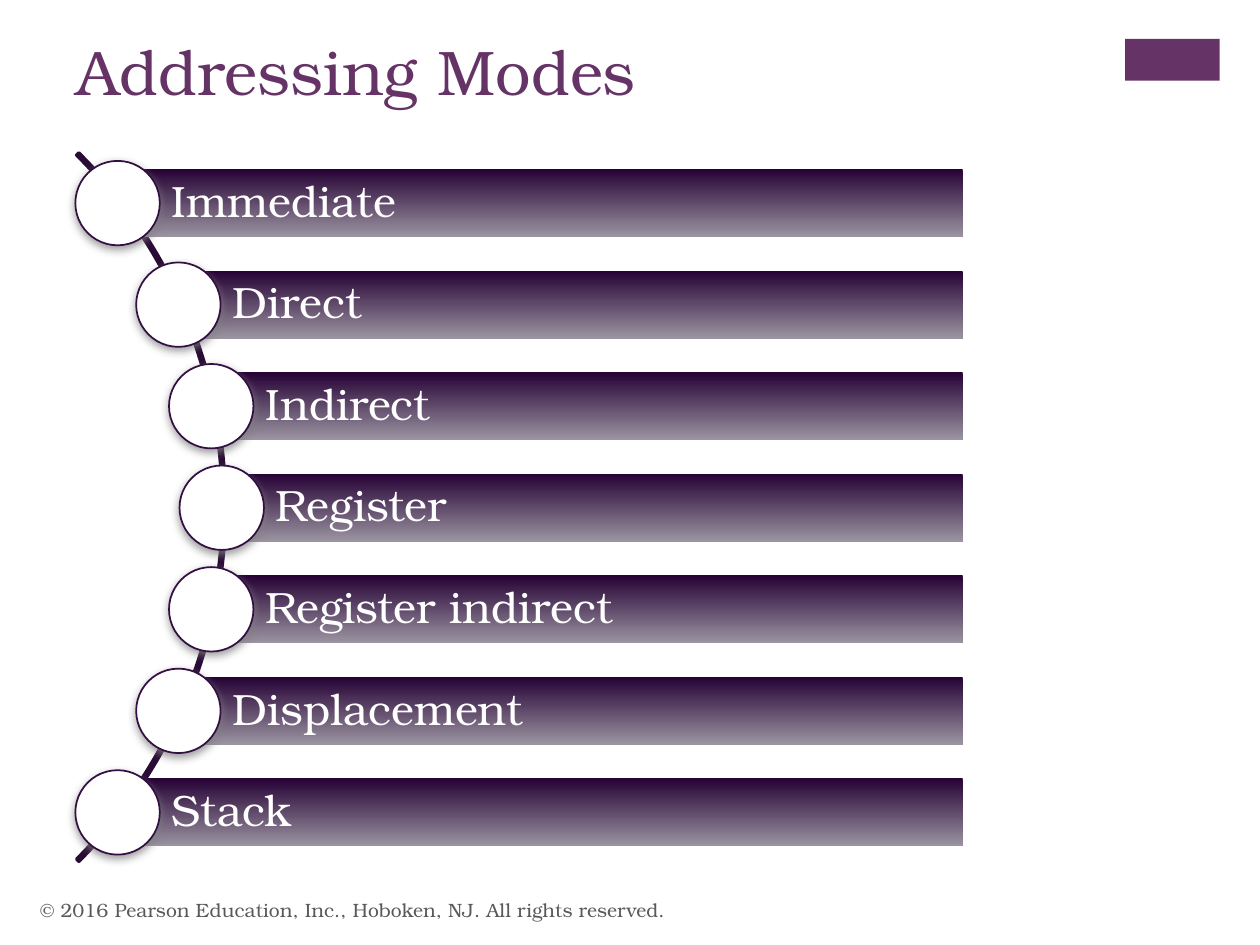
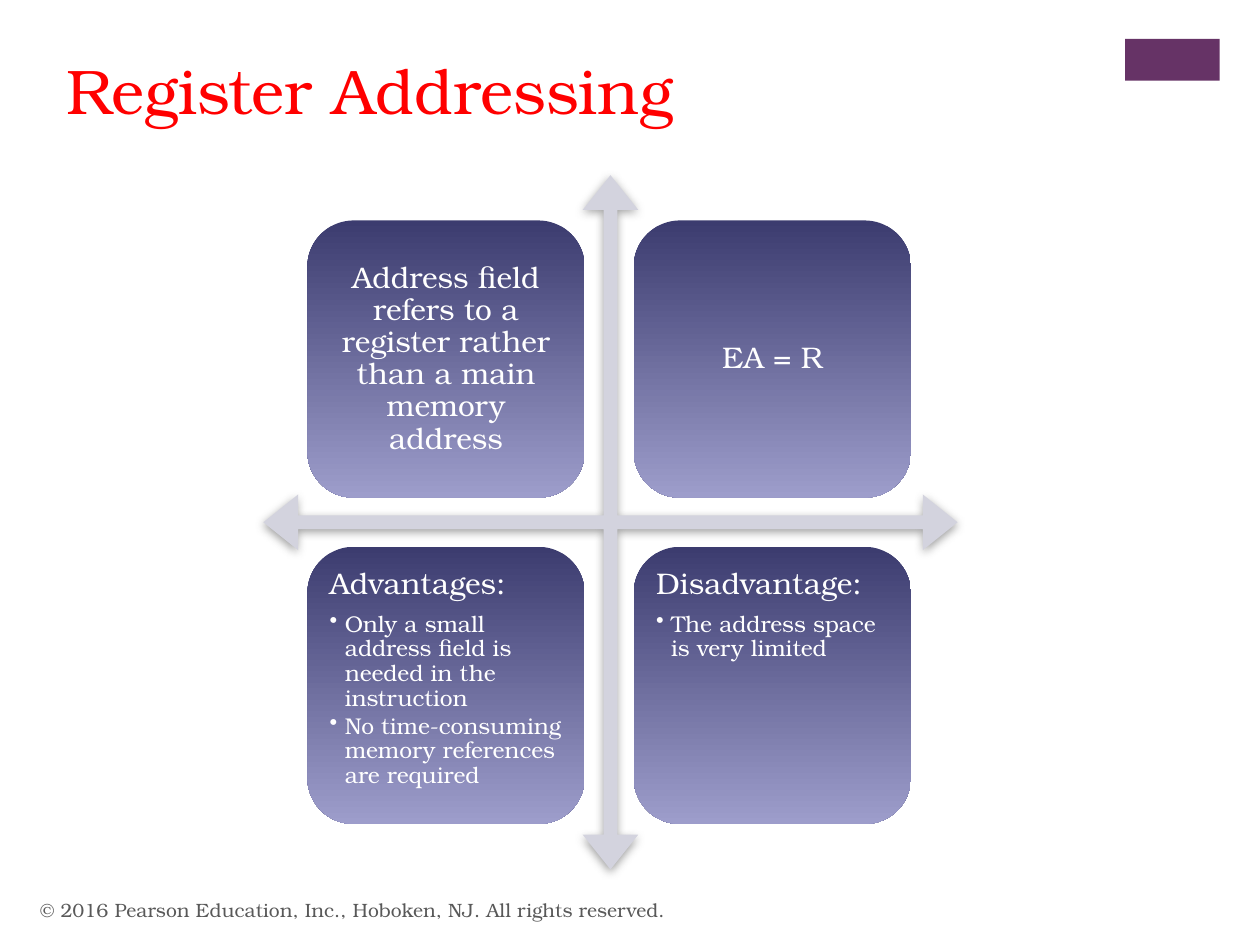
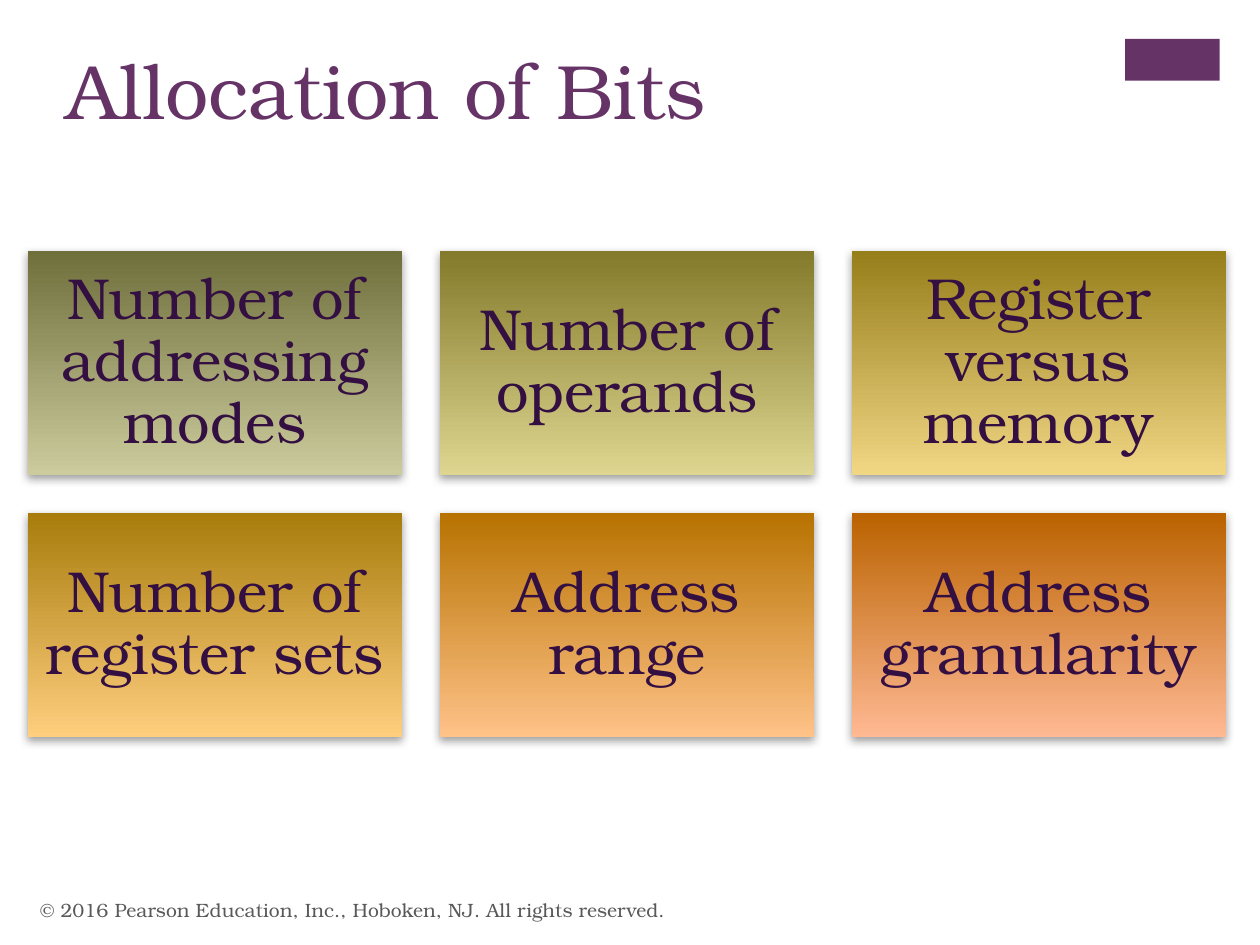
from dataclasses import dataclass
from math import sqrt

from lxml.etree import SubElement
from pptx import Presentation
from pptx.dml.color import RGBColor
from pptx.enum.shapes import MSO_SHAPE
from pptx.enum.text import MSO_ANCHOR, MSO_AUTO_SIZE, PP_ALIGN
from pptx.oxml.ns import qn
from pptx.util import Inches, Pt

FONT = "TeX Gyre Bonum"
PLUM, DARK, WHITE, GREY, RED = "663366", "330F42", "FFFFFF", "595959", "FF0000"
NOTICE = "© 2016 Pearson Education, Inc., Hoboken, NJ. All rights reserved."


@dataclass
class Box:
    left: float
    top: float
    width: float
    height: float

    def place(self) -> tuple:
        return tuple(Inches(v) for v in (self.left, self.top, self.width, self.height))


@dataclass
class Style:
    size: float
    color: str
    align: PP_ALIGN = PP_ALIGN.LEFT
    inset: float = 0.07
    space: float = 0.9


@dataclass
class Card:
    text: str
    fill: tuple
    points: tuple = ()


# Shared helpers
def rgb(value: str) -> RGBColor:
    return RGBColor.from_string(value)


def paint(shape, fill) -> None:
    """Fill with one colour, or with a pair running from top to bottom."""
    if isinstance(fill, str):
        shape.fill.solid()
        shape.fill.fore_color.rgb = rgb(fill)
        return
    shape.fill.gradient()
    shape.fill.gradient_angle = 270
    for stop, color in zip(shape.fill.gradient_stops, fill):
        stop.color.rgb = rgb(color)


def shade(shape) -> None:
    effects = shape._element.spPr.find(qn("a:effectLst"))
    outer = SubElement(effects, qn("a:outerShdw"), blurRad=str(Pt(5)), dist=str(Pt(2)),
                       dir="5400000", algn="ctr", rotWithShape="0")
    color = SubElement(outer, qn("a:srgbClr"), val="808080")
    SubElement(color, qn("a:alpha"), val="75000")


def draw(slide, kind, box: Box, fill=None, line=None, width=1, shadow=False, adjust=()):
    shape = slide.shapes.add_shape(kind, *box.place())
    shape.shadow.inherit = False
    for i, value in enumerate(adjust):
        shape.adjustments[i] = value
    if fill:
        paint(shape, fill)
    else:
        shape.fill.background()
    if line:
        shape.line.color.rgb = rgb(line)
        shape.line.width = Pt(width)
    else:
        shape.line.fill.background()
    if shadow:
        shade(shape)
    return shape


def style(para, look: Style) -> None:
    para.alignment = look.align
    para.line_spacing = look.space
    para.font.name = FONT
    para.font.size = Pt(look.size)
    para.font.color.rgb = rgb(look.color)


def write(shape, text: str, look: Style, anchor=MSO_ANCHOR.MIDDLE):
    frame = shape.text_frame
    frame.word_wrap = True
    frame.auto_size = MSO_AUTO_SIZE.NONE
    frame.vertical_anchor = anchor
    frame.margin_left = frame.margin_right = Inches(look.inset)
    frame.margin_top = frame.margin_bottom = Inches(min(look.inset, 0.07))
    frame.text = text
    style(frame.paragraphs[0], look)
    return frame


def list_points(frame, points: tuple, look: Style) -> None:
    frame.paragraphs[0].space_after = Pt(6.5)
    for point in points:
        para = frame.add_paragraph()
        para.text = point
        props = para._p.get_or_add_pPr()
        props.set("marL", str(Inches(0.12)))
        props.set("indent", str(Inches(-0.12)))
        SubElement(props, qn("a:buChar"), char="•")
        style(para, look)
        para.space_after = Pt(2)


def start(deck, title: str, left: float, top: float, size=36, color=PLUM):
    """Add a slide with its title, corner band and footer."""
    slide = deck.slides.add_slide(deck.slide_layouts[5])
    head = slide.shapes.title
    head.left, head.top, head.width, head.height = Box(left, top, 8.26, 1.22).place()
    frame = write(head, title, Style(size, color, inset=0.1, space=1), MSO_ANCHOR.TOP)
    frame.margin_top = frame.margin_bottom = Inches(0.05)
    draw(slide, MSO_SHAPE.RECTANGLE, Box(8.93, 0.31, 0.75, 0.33), PLUM)
    foot = slide.shapes.add_textbox(*Box(0.22, 7.02, 6.7, 0.4).place())
    write(foot, NOTICE, Style(11, GREY, inset=0.1, space=1))
    return slide


# Slide 1: bars strung along an arc
def add_modes(deck) -> None:
    slide = start(deck, "Addressing Modes", 0.51, 0.21)
    names = ("Immediate", "Direct", "Indirect", "Register", "Register indirect",
             "Displacement", "Stack")
    mid_x, mid_y, radius, step = -2.19, 4.03, 3.95, 0.806
    right, bar, disc = 7.64, 0.54, 0.67
    draw(slide, MSO_SHAPE.BLOCK_ARC, Box(-6.16, 0.05, 7.95, 7.95), line="290C35",
         width=2, adjust=(189, 27, 0.003))
    for i, name in enumerate(names):
        drop = (i - len(names) // 2) * step
        x, y = mid_x + sqrt(radius ** 2 - drop ** 2), mid_y + drop
        strip = draw(slide, MSO_SHAPE.RECTANGLE, Box(x, y - bar / 2, right - x, bar),
                     ("260235", "9B94A1"))
        write(strip, name, Style(25, WHITE)).margin_left = Inches(0.43)
        draw(slide, MSO_SHAPE.OVAL, Box(x - disc / 2, y - disc / 2, disc, disc),
             WHITE, DARK, shadow=True)


# Slide 2: four cards around crossed arrows
def add_register(deck) -> None:
    slide = start(deck, "Register Addressing", 0.43, 0.36, color=RED)
    draw(slide, MSO_SHAPE.QUAD_ARROW, Box(2.09, 1.39, 5.51, 5.51), "D3D3DE",
         shadow=True, adjust=(0.02, 0.04, 0.05))
    blue = ("3C3C6F", "9D9DCB")
    cards = (
        Card("Address field refers to a register rather than a main memory address", blue),
        Card("EA = R", blue),
        Card("Advantages:", blue,
             ("Only a small address field is needed in the instruction",
              "No time-consuming memory references are required")),
        Card("Disadvantage:", blue, ("The address space is very limited",)),
    )
    side, pitch = 2.2, 2.59
    for i, card in enumerate(cards):
        row, col = divmod(i, 2)
        box = Box(2.44 + col * pitch, 1.75 + row * pitch, side, side)
        shape = draw(slide, MSO_SHAPE.ROUNDED_RECTANGLE, box, card.fill)
        if card.points:
            frame = write(shape, card.text, Style(17, WHITE), MSO_ANCHOR.TOP)
            list_points(frame, card.points, Style(13, WHITE))
        else:
            write(shape, card.text, Style(17, WHITE, PP_ALIGN.CENTER))


# Slide 3: grid of six tiles
def add_bits(deck) -> None:
    slide = start(deck, "Allocation of Bits", 0.43, 0.29, size=44)
    tiles = (
        Card("Number of addressing modes", ("6F6F3C", "CBCB9D")),
        Card("Number of operands", ("837A2B", "DED590")),
        Card("Register versus memory", ("967E1B", "F1D684")),
        Card("Number of register sets", ("A87C0C", "FFCE7E")),
        Card("Address range", ("B77200", "FFC288")),
        Card("Address granularity", ("BA6200", "FFB993")),
    )
    width, height, gap = 2.97, 1.78, 0.3
    for i, tile in enumerate(tiles):
        row, col = divmod(i, 3)
        box = Box(0.22 + col * (width + gap), 1.99 + row * (height + gap), width, height)
        shape = draw(slide, MSO_SHAPE.RECTANGLE, box, tile.fill, shadow=True)
        write(shape, tile.text, Style(33, DARK, PP_ALIGN.CENTER, inset=0.14))


def main() -> None:
    deck = Presentation()
    deck.slide_width, deck.slide_height = Inches(10), Inches(7.5)
    add_modes(deck)
    add_register(deck)
    add_bits(deck)
    deck.save("out.pptx")


if __name__ == "__main__":
    main()
